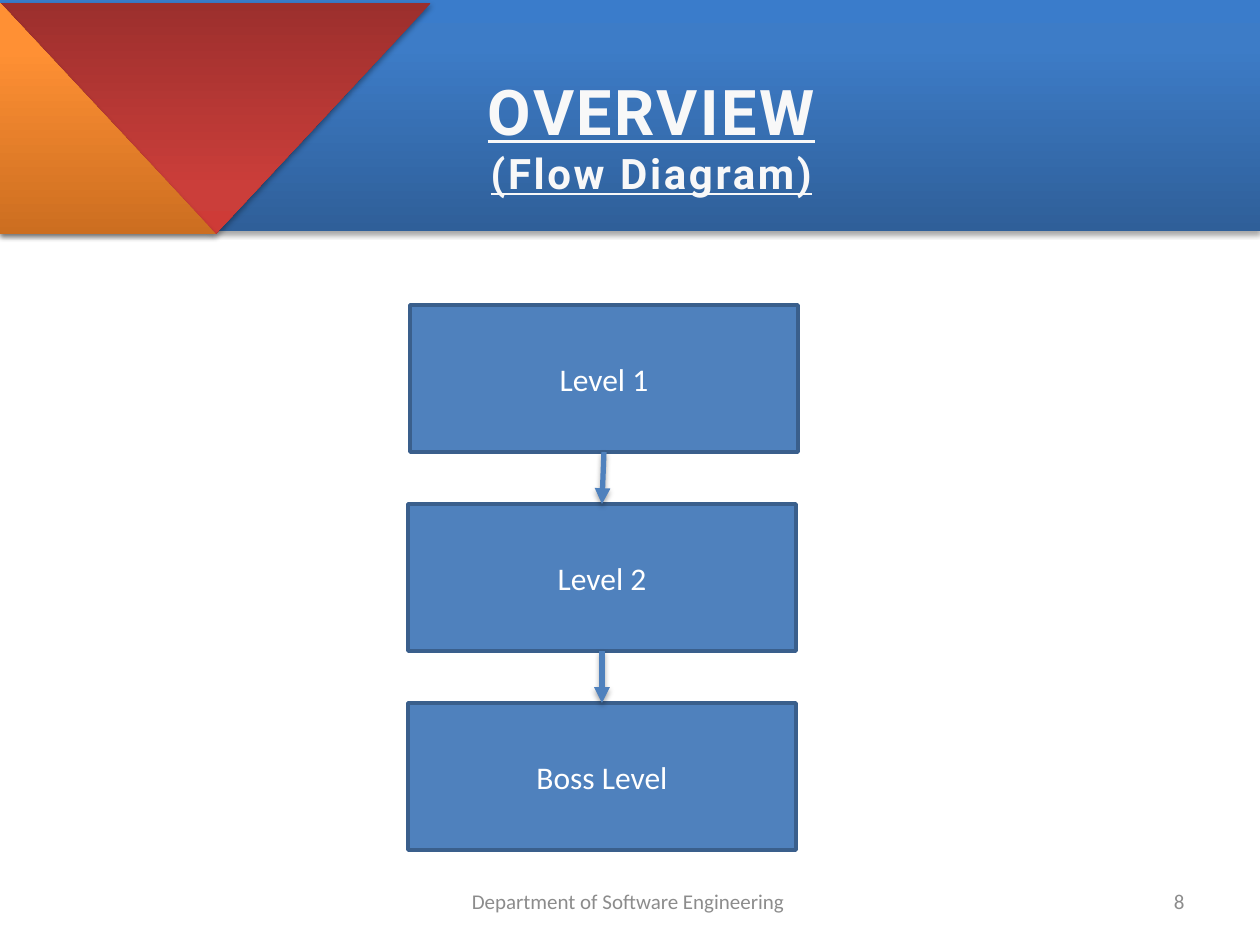
from itertools import pairwise

from lxml.etree import SubElement
from pptx import Presentation
from pptx.dml.color import RGBColor
from pptx.enum.shapes import MSO_CONNECTOR, MSO_SHAPE
from pptx.enum.text import MSO_ANCHOR, MSO_AUTO_SIZE, PP_ALIGN
from pptx.oxml.ns import qn
from pptx.util import Pt

PX = 914400 / 126
BLUE = RGBColor(0x4F, 0x81, 0xBD)
DARK_BLUE = RGBColor(0x3A, 0x5F, 0x8C)
WHITE = RGBColor(0xFF, 0xFF, 0xFF)
OFF_WHITE = RGBColor(0xF8, 0xF8, 0xF8)
GREY = RGBColor(0x8C, 0x8C, 0x8C)
BLACK = RGBColor(0, 0, 0)
BAND_STOPS = (RGBColor(0x2F, 0x5F, 0x99), RGBColor(0x3D, 0x7C, 0xC7), RGBColor(0x3A, 0x7C, 0xCB))
RED_STOPS = (RGBColor(0x9C, 0x2F, 0x2D), RGBColor(0xCB, 0x3E, 0x3A), RGBColor(0xCE, 0x3B, 0x37))
ORANGE_STOPS = (RGBColor(0xCC, 0x6E, 0x20), RGBColor(0xFF, 0x90, 0x34), RGBColor(0xFF, 0x91, 0x36))


def emu(*lengths):
    return [round(n * PX) for n in lengths]


def add_xml(parent, tag, **attrs):
    return SubElement(parent, qn(tag), {k: str(v) for k, v in attrs.items()})


class FlowSlide:
    """Holds the style and the current slide."""

    body_font = "Calibri"
    title_font = "Roboto"

    def __init__(self, prs):
        self.s = prs.slides.add_slide(prs.slide_layouts[5])

    def format(self, p, font, size, color, align):
        p.alignment = align
        for r in p.runs:
            r.font.name = font
            r.font.size = Pt(size)
            r.font.color.rgb = color

    def shadow(self, sp):
        effects = add_xml(sp._element.spPr, "a:effectLst")
        outer = add_xml(effects, "a:outerShdw", blurRad=40000, dist=23000,
                        dir=5400000, rotWithShape=0)
        add_xml(add_xml(outer, "a:srgbClr", val=BLACK), "a:alpha", val=35000)

    def gradient_shape(self, kind, box, stops, rotation=0):
        """Draw a shape whose gradient runs from its bottom edge to its top."""
        sp = self.s.shapes.add_shape(kind, *emu(*box))
        sp.rotation = rotation
        sp.line.fill.background()
        sp.fill.gradient()
        sp.fill.gradient_angle = 90
        stop_list = sp._element.spPr.find(qn("a:gradFill")).find(qn("a:gsLst"))
        for old in list(stop_list):
            stop_list.remove(old)
        for pos, color in zip((0, 80000, 100000), stops):
            add_xml(add_xml(stop_list, "a:gs", pos=pos), "a:srgbClr", val=color)
        self.shadow(sp)

    def title(self, box, lines):
        sp = self.s.shapes.title
        sp.left, sp.top, sp.width, sp.height = emu(*box)
        self.s.shapes._spTree.append(sp._element)  # in front of the header band
        tf = sp.text_frame
        tf.text = "\n".join(text for text, _ in lines)
        tf.word_wrap = False
        tf.auto_size = MSO_AUTO_SIZE.SHAPE_TO_FIT_TEXT
        tf.vertical_anchor = MSO_ANCHOR.TOP
        for p, (_, size) in zip(tf.paragraphs, lines):
            self.format(p, self.title_font, size, OFF_WHITE, PP_ALIGN.CENTER)
            for r in p.runs:
                r.font.bold = r.font.underline = True
                r._r.get_or_add_rPr().set("spc", "150")

    def process(self, box, text):
        sp = self.s.shapes.add_shape(MSO_SHAPE.FLOWCHART_PROCESS, *emu(*box))
        sp.shadow.inherit = False
        sp.fill.solid()
        sp.fill.fore_color.rgb = BLUE
        sp.line.color.rgb = DARK_BLUE
        sp.line.width = Pt(2)
        tf = sp.text_frame
        tf.text = text
        tf.vertical_anchor = MSO_ANCHOR.MIDDLE
        self.format(tf.paragraphs[0], self.body_font, 18, WHITE, PP_ALIGN.CENTER)
        return sp

    def arrow(self, upper, lower):
        cn = self.s.shapes.add_connector(MSO_CONNECTOR.STRAIGHT, 0, 0, 0, 0)
        cn.begin_connect(upper, 2)
        cn.end_connect(lower, 0)
        cn.line.color.rgb = BLUE
        cn.line.width = Pt(3)
        add_xml(cn.line._get_or_add_ln(), "a:tailEnd", type="triangle")
        self.shadow(cn)

    def footer(self, box, text, align):
        tf = self.s.shapes.add_textbox(*emu(*box)).text_frame
        tf.text = text
        tf.word_wrap = True
        tf.vertical_anchor = MSO_ANCHOR.MIDDLE
        self.format(tf.paragraphs[0], self.body_font, 12, GREY, align)


def main():
    prs = Presentation()
    prs.slide_width, prs.slide_height = emu(1260, 945)
    slide = FlowSlide(prs)

    slide.gradient_shape(MSO_SHAPE.RECTANGLE, (0, 0, 1260, 231), BAND_STOPS)
    slide.gradient_shape(MSO_SHAPE.ISOSCELES_TRIANGLE, (0, 3, 431, 231), RED_STOPS, 180)
    slide.gradient_shape(MSO_SHAPE.RIGHT_TRIANGLE, (0, 3, 216, 231), ORANGE_STOPS)
    slide.title((467, 66, 369, 140), [("OVERVIEW", 36), ("(Flow Diagram)", 24)])

    levels = [(410, "Level 1"), (408, "Level 2"), (408, "Boss Level")]
    boxes = [slide.process((left, 305 + 199 * i, 388, 147), text)
             for i, (left, text) in enumerate(levels)]
    for upper, lower in pairwise(boxes):
        slide.arrow(upper, lower)

    slide.footer((903, 876, 294, 50), "8", PP_ALIGN.RIGHT)
    slide.footer((431, 876, 399, 50), "Department of Software Engineering ", PP_ALIGN.CENTER)
    prs.save("out.pptx")


if __name__ == "__main__":
    main()
